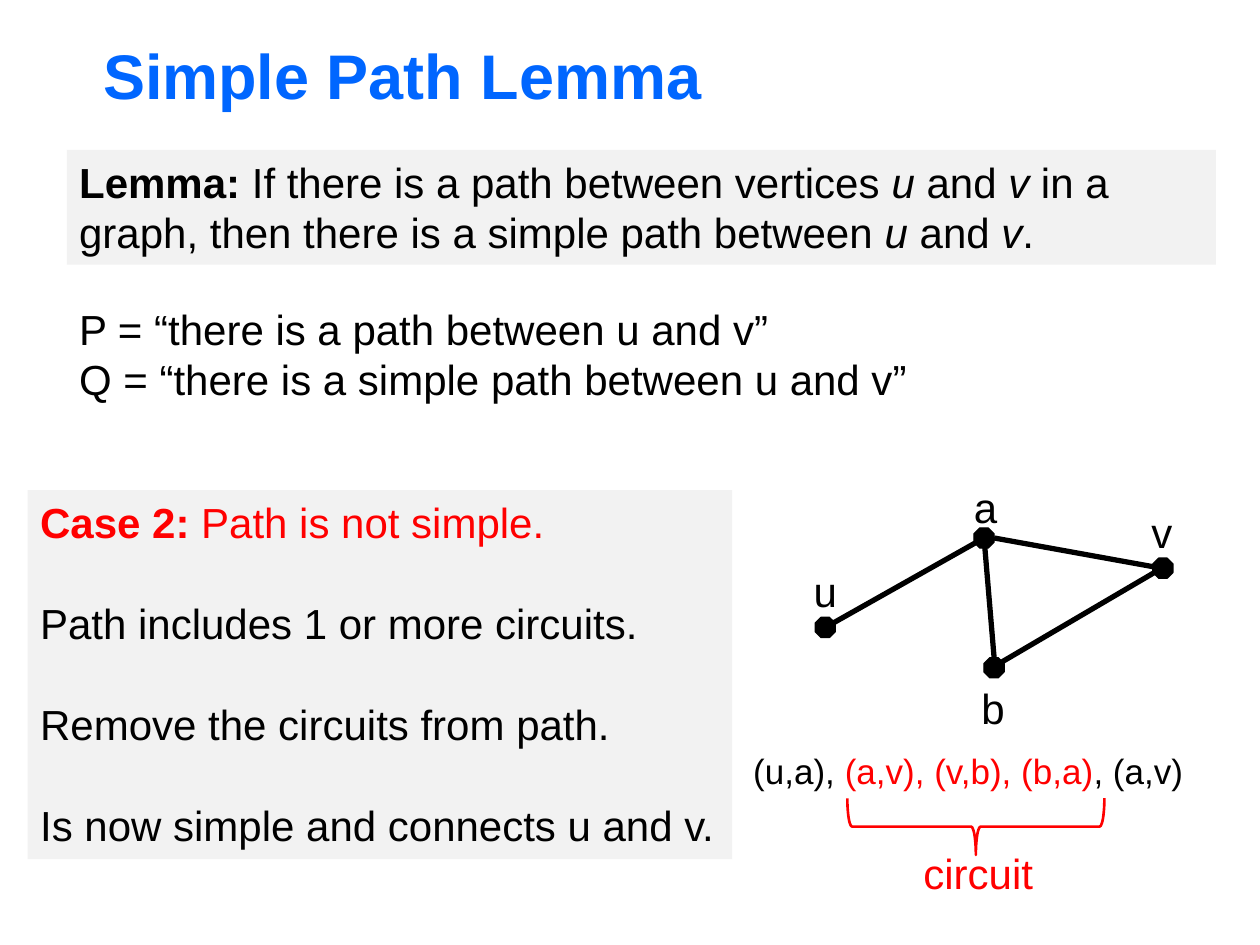
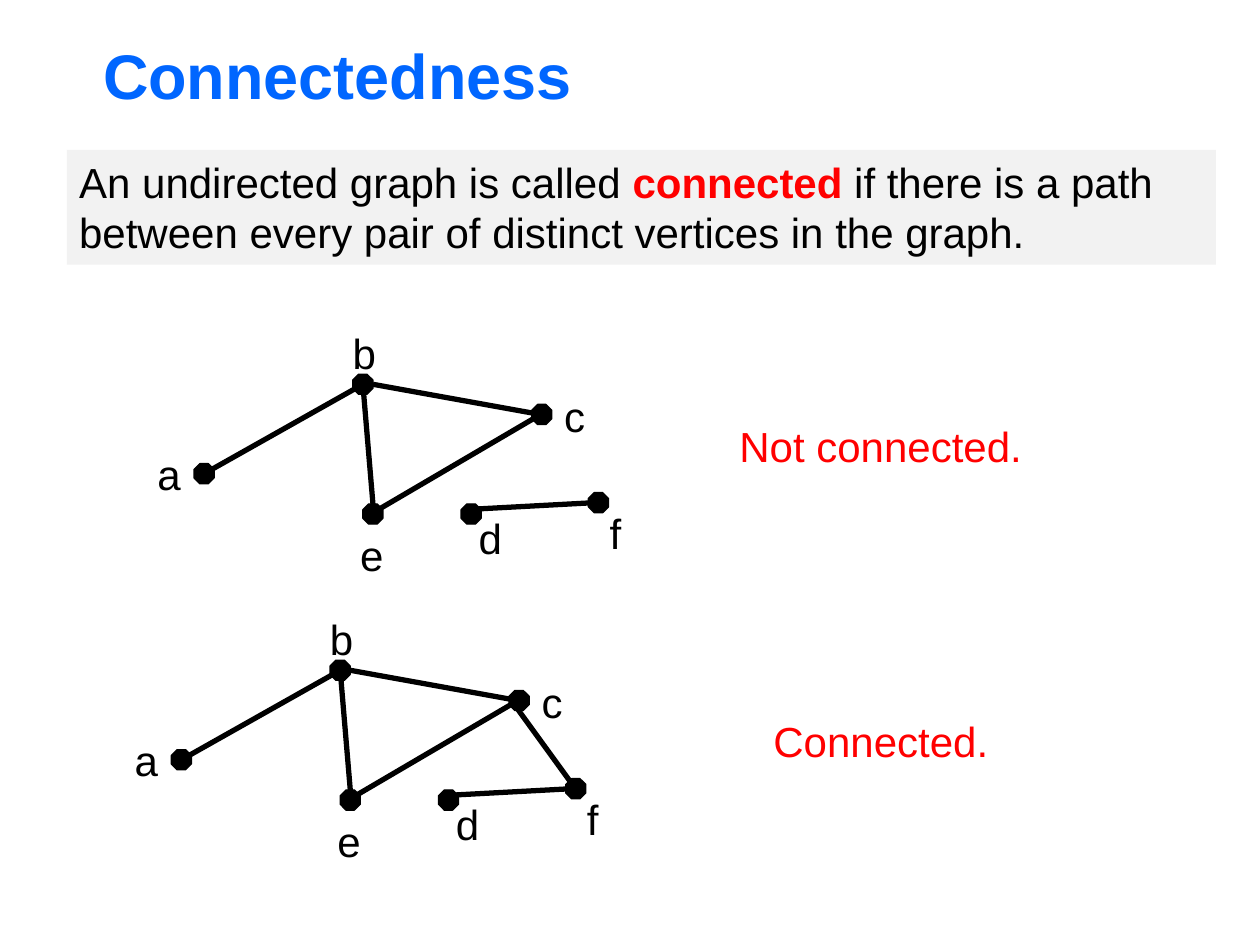
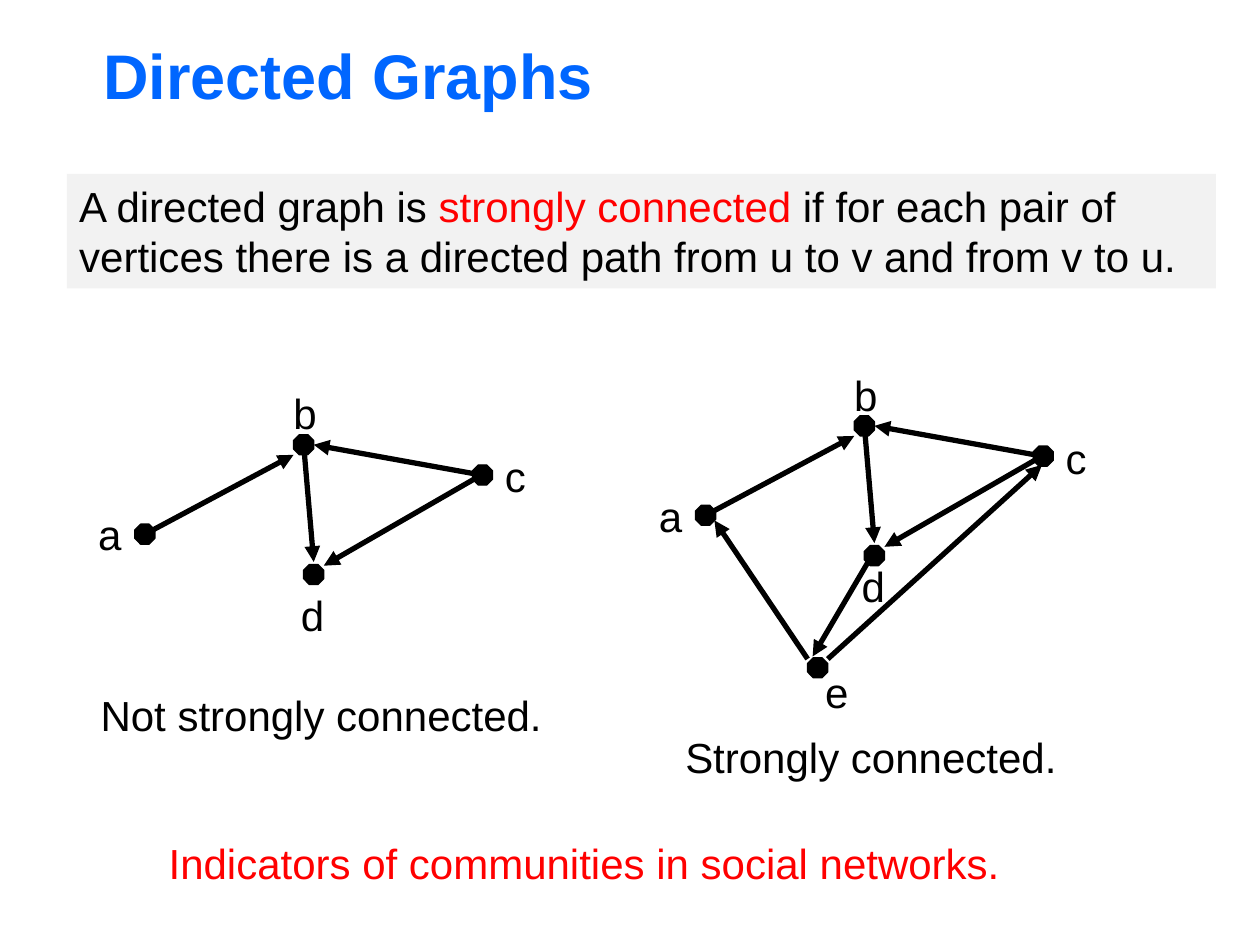
from lxml import etree
from pptx import Presentation
from pptx import util as u
from pptx.dml.color import RGBColor
from pptx.enum import shapes, text
from pptx.oxml.ns import qn

BLUE = RGBColor(0x00, 0x66, 0xFF)
RED = RGBColor(0xFF, 0x00, 0x00)
BLACK = RGBColor(0x00, 0x00, 0x00)
GREY = RGBColor(0xF2, 0xF2, 0xF2)
FONT = "Arial"
DOT = 0.16

# Corner of a label's box, from the corner of its dot
SIDES = {
    "over": (-0.11, -0.46), "above": (-0.1, -0.42), "below": (-0.12, 0.15),
    "left": (-0.39, -0.17), "right": (0.16, -0.16), "near": (0.04, 0.02),
    "tight": (-0.12, 0.07), "corner": (0.07, 0.07),
}
WIDTHS = {"c": 0.37, "v": 0.37, "f": 0.29}

# Dots and edges that all graphs share, from the corner of the graph
LEFT, TOP, RIGHT, LOW = (0, 0.71), (1.26, 0), (2.68, 0.24), (1.34, 1.03)
LINKS = [
    (1.42, 1.03, 1.34, 0.08), (0.08, 0.79, 1.34, 0.08),
    (1.42, 0.08, 2.75, 0.32), (1.42, 1.1, 2.75, 0.32),
]
ARROWS = [
    (1.34, 0.08, 1.42, 1.01), (0.08, 0.79, 1.26, 0.16),
    (2.75, 0.32, 1.42, 0.08), (2.75, 0.32, 1.5, 1.04),
]


def inches(*nums):
    return [u.Inches(n) for n in nums]


def write(frame, paras, size=24, color=BLACK, gap=0):
    """Fill a frame; each paragraph lists (words, marks): b bold, i italic, r red."""
    for n, runs in enumerate(paras):
        para = frame.paragraphs[0] if n == 0 else frame.add_paragraph()
        para.alignment = text.PP_ALIGN.LEFT
        if n:
            para.space_before = u.Pt(gap)
        for words, marks in runs:
            run = para.add_run()
            run.text = words
            font = run.font
            font.name, font.size = FONT, u.Pt(size)
            font.bold, font.italic = "b" in marks, "i" in marks
            font.color.rgb = RED if "r" in marks else color


def label(slide, box, paras, wrap=False, **style):
    frame = slide.shapes.add_textbox(*inches(*box)).text_frame
    frame.word_wrap = wrap
    write(frame, paras, **style)
    return frame


def line(slide, words, x, y, width, marks=""):
    label(slide, (x, y, width, 0.5), [[(words, marks)]])


def title(slide, words):
    frame = label(slide, (0.72, 0.25, 8.5, 0.68), [[(words, "b")]],
                  wrap=True, size=36, color=BLUE)
    frame.vertical_anchor = text.MSO_ANCHOR.MIDDLE


def preset(slide, kind, box):
    shape = slide.shapes.add_shape(kind, *inches(*box))
    shape.shadow.inherit = False
    return shape


def panel(slide, box, paras, gap=0):
    shape = preset(slide, shapes.MSO_SHAPE.RECTANGLE, box)
    shape.fill.solid()
    shape.fill.fore_color.rgb = GREY
    shape.line.fill.background()
    frame = shape.text_frame
    frame.word_wrap = True
    frame.vertical_anchor = text.MSO_ANCHOR.TOP
    write(frame, paras, gap=gap)


def claim(slide, paras, y=1.19):
    panel(slide, (0.53, y, 9.12, 0.91), paras)


def dot(slide, x, y):
    shape = preset(slide, shapes.MSO_SHAPE.OCTAGON, (x, y, DOT, DOT))
    shape.fill.solid()
    shape.fill.fore_color.rgb = BLACK
    shape.line.color.rgb = BLACK
    shape.line.width = u.Pt(0.75)


def edge(slide, ends, arrow):
    link = slide.shapes.add_connector(
        shapes.MSO_CONNECTOR.STRAIGHT, *inches(*ends))
    link.line.color.rgb = BLACK
    link.line.width = u.Pt(3)
    if arrow:
        etree.SubElement(link.line._get_or_add_ln(), qn("a:tailEnd"),
                         type="triangle")
    etree.SubElement(link._element.spPr, qn("a:effectLst"))


def graph(slide, x, y, nodes, edges, arrow=False):
    """Draw nodes {name: (place, side)} and edges from the corner x, y."""
    for (dx, dy), _ in nodes.values():
        dot(slide, x + dx, y + dy)
    for x1, y1, x2, y2 in edges:
        edge(slide, (x + x1, y + y1, x + x2, y + y2), arrow)
    for name, ((dx, dy), side) in nodes.items():
        sx, sy = SIDES[side]
        line(slide, name, x + dx + sx, y + dy + sy, WIDTHS.get(name, 0.39))


def circuit(slide, x, y):
    """Write the walk and brace its circuit."""
    label(slide, (x, y, 3.63, 0.44),
          [[("(u,a), ", ""), ("(a,v), (v,b), (b,a)", "r"), (", (a,v)", "")]],
          size=20)
    brace = preset(slide, shapes.MSO_SHAPE.LEFT_BRACE,
                   (x + 1.64, y - 0.36, 0.45, 2.04))
    brace.rotation = 270
    brace.fill.background()
    brace.line.color.rgb = RED
    brace.line.width = u.Pt(1.5)
    line(slide, "circuit", x + 1.35, y + 0.78, 1.08, "r")


def lemma(slide):
    title(slide, "Simple Path Lemma")
    claim(slide, [[
        ("Lemma:", "b"), (" If there is a path between vertices ", ""),
        ("u", "i"), (" and ", ""), ("v", "i"),
        (" in a graph, then there is a simple path between ", ""),
        ("u", "i"), (" and ", ""), ("v", "i"), (".", "")]])
    label(slide, (0.53, 2.36, 6.84, 0.91), [
        [("P = “there is a path between u and v”", "")],
        [("Q = “there is a simple path between u and v”", "")]])
    panel(slide, (0.22, 3.89, 5.59, 2.93), [
        [("Case 2:", "br"), (" Path is not simple.", "r")],
        [("Path includes 1 or more circuits.", "")],
        [("Remove the circuits from path.", "")],
        [("Is now simple and connects u and v.", "")]], gap=29)
    nodes = {"u": (LEFT, "over"), "a": (TOP, "above"),
             "b": (LOW, "below"), "v": (RIGHT, "over")}
    graph(slide, 6.47, 4.19, nodes, LINKS)
    circuit(slide, 5.88, 5.9)


def connected(slide):
    title(slide, "Connectedness")
    claim(slide, [[
        ("An undirected graph is called ", ""), ("connected", "br"),
        (" if there is a path between every pair of distinct vertices"
         " in the graph.", "")]])
    nodes = {"a": (LEFT, "left"), "b": (TOP, "above"), "e": (LOW, "below"),
             "c": (RIGHT, "right"), "d": ((2.12, 1.03), "near"),
             "f": ((3.13, 0.94), "corner")}
    split = LINKS + [(3.17, 1.02, 2.24, 1.07)]
    graph(slide, 1.54, 2.97, nodes, split)
    line(slide, "Not connected.", 5.77, 3.29, 2.47, "r")
    graph(slide, 1.36, 5.24, nodes, split + [(3.2, 1.01, 2.75, 0.39)])
    line(slide, "Connected.", 6.04, 5.63, 1.93, "r")


def directed(slide):
    title(slide, "Directed Graphs")
    claim(slide, [
        [("A directed graph is ", ""), ("strongly connected", "r"),
         (" if for each pair of", "")],
        [("vertices there is a directed path from u to v"
          " and from v to u.", "")]], y=1.38)
    nodes = {"a": (LEFT, "left"), "b": (TOP, "above"),
             "d": (LOW, "below"), "c": (RIGHT, "right")}
    graph(slide, 1.07, 3.45, nodes, ARROWS, arrow=True)
    line(slide, "Not strongly connected.", 0.7, 5.42, 3.74)
    strong = {**nodes, "d": (LOW, "tight"), "e": ((0.89, 1.92), "near")}
    loops = [(1.05, 1.93, 2.75, 0.39), (1.37, 1.16, 0.93, 1.91),
             (0.89, 1.93, 0.15, 0.83)]
    graph(slide, 5.52, 3.3, strong, ARROWS + loops, arrow=True)
    line(slide, "Strongly connected.", 5.34, 5.76, 3.18)
    line(slide, "Indicators of communities in social networks.",
         1.24, 6.6, 6.96, "r")


def main():
    deck = Presentation()
    deck.slide_width, deck.slide_height = inches(10, 7.5)
    for fill in (lemma, connected, directed):
        fill(deck.slides.add_slide(deck.slide_layouts[6]))
    deck.save("out.pptx")


if __name__ == "__main__":
    main()
